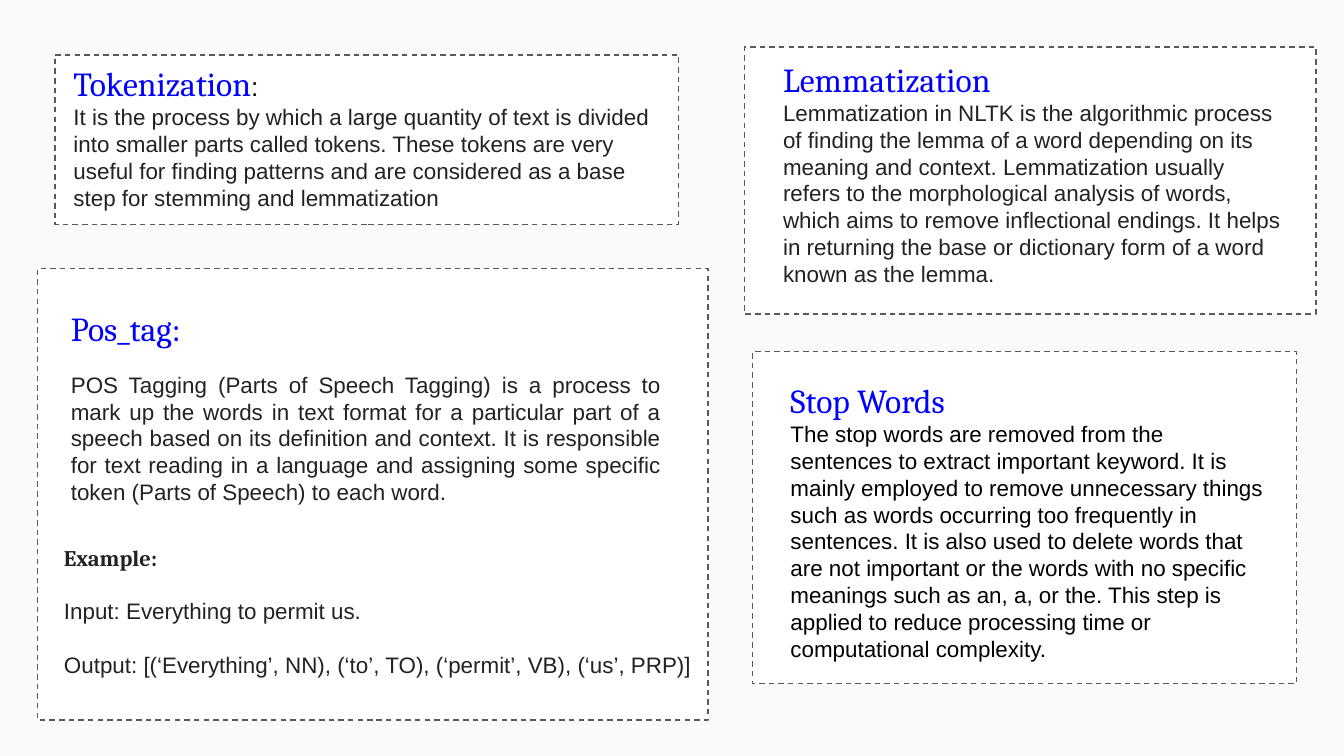
from pptx import Presentation
from pptx.dml.color import RGBColor
from pptx.enum.dml import MSO_LINE_DASH_STYLE as Dash
from pptx.enum.shapes import MSO_SHAPE as Shape
from pptx.enum.text import MSO_AUTO_SIZE as AutoSize, PP_ALIGN as Align
from pptx.util import Cm, Pt

PAPER = RGBColor(0xFA, 0xFA, 0xFA)
WHITE = RGBColor(0xFF, 0xFF, 0xFF)
GREY = RGBColor(0x59, 0x59, 0x59)
BLUE = RGBColor(0x00, 0x00, 0xFF)
INK = RGBColor(0x22, 0x22, 0x22)
BLACK = RGBColor(0x00, 0x00, 0x00)

HEADING = {"name": "Cambria", "size": Pt(18), "color": BLUE}
COLON = {"name": "Arial", "size": Pt(14), "color": BLACK}
BODY = {"name": "Arial", "size": Pt(12), "color": INK}
BLACK_BODY = {**BODY, "color": BLACK}
LABEL = {**BODY, "name": "Cambria", "bold": True}

PLAIN = {}
SPACED = {"alignment": Align.JUSTIFY, "line_spacing": 1.15, "space_before": Pt(12)}
JUSTIFIED = {"alignment": Align.JUSTIFY, "space_before": Pt(12), "space_after": Pt(12)}

TOKENIZATION = (
    "It is the process by which a large quantity of text is divided into smaller "
    "parts called tokens. These tokens are very useful for finding patterns and are "
    "considered as a base step for stemming and lemmatization"
)
POS_TAG = (
    "POS Tagging (Parts of Speech Tagging) is a process to mark up the words in text "
    "format for a particular part of a speech based on its definition and context. It "
    "is responsible for text reading in a language and assigning some specific token "
    "(Parts of Speech) to each word."
)
LEMMATIZATION = (
    "Lemmatization in NLTK is the algorithmic process of finding the lemma of a word "
    "depending on its meaning and context. Lemmatization usually refers to the "
    "morphological analysis of words, which aims to remove inflectional endings. It "
    "helps in returning the base or dictionary form of a word known as the lemma."
)
STOP_WORDS = (
    "The stop words are removed from the sentences to extract important keyword. It is "
    "mainly employed to remove unnecessary things such as words occurring too "
    "frequently in sentences. It is also used to delete words that are not important "
    "or the words with no specific meanings such as an, a, or the. This step is applied "
    "to reduce processing time or computational complexity."
)

PANELS = [
    (0.71, 5.08, 12.67, 8.53),
    (1.04, 1.04, 11.79, 3.2),
    (14.07, 0.89, 10.8, 5.05),
    (14.22, 6.65, 10.29, 6.27),
]
TEXTS = [
    ((1.14, 0.94, 11.66, 3.33), [
        (PLAIN, [("Tokenization", HEADING), (":", COLON)]),
        (PLAIN, [(TOKENIZATION, BODY)]),
    ]),
    ((1.09, 5.46, 11.66, 4.39), [
        (SPACED, [("Pos_tag:", HEADING)]),
        (JUSTIFIED, [(POS_TAG, BODY)]),
    ]),
    ((0.96, 9.96, 13.06, 4.17), [
        (SPACED, [("Example:", LABEL)]),
        (SPACED, [("Input: Everything to permit us.", BODY)]),
        (SPACED, [("Output: [(‘Everything’, NN), (‘to’, TO), (‘permit’, VB), (‘us’, PRP)]", BODY)]),
    ]),
    ((14.55, 0.86, 9.96, 4.88), [
        (PLAIN, [("Lemmatization", HEADING)]),
        (PLAIN, [(LEMMATIZATION, BODY)]),
    ]),
    ((14.69, 6.93, 9.53, 5.89), [
        (PLAIN, [("Stop Words", HEADING)]),
        (PLAIN, [(STOP_WORDS, BLACK_BODY)]),
    ]),
]


def set_attrs(obj, values):
    for key, value in values.items():
        setattr(obj, key, value)


def add_panel(s, box):
    sp = s.shapes.add_shape(Shape.RECTANGLE, *map(Cm, box))
    sp.shadow.inherit = False
    sp.fill.solid()
    sp.fill.fore_color.rgb = WHITE
    sp.line.color.rgb = GREY
    set_attrs(sp.line, {"width": Pt(0.75), "dash_style": Dash.DASH})


def add_run(p, text, style):
    r = p.add_run()
    r.text = text
    set_attrs(r.font, {k: v for k, v in style.items() if k != "color"})
    r.font.color.rgb = style["color"]


def add_text(s, box, paragraphs):
    tf = s.shapes.add_textbox(*map(Cm, box)).text_frame
    margins = {f"margin_{side}": Cm(0.25) for side in ("left", "top", "right", "bottom")}
    set_attrs(tf, {"word_wrap": True, "auto_size": AutoSize.SHAPE_TO_FIT_TEXT, **margins})
    for i, (layout, runs) in enumerate(paragraphs):
        p = tf.add_paragraph() if i else tf.paragraphs[0]
        set_attrs(p, layout)
        for text, style in runs:
            add_run(p, text, style)


def main():
    prs = Presentation()
    set_attrs(prs, {"slide_width": Cm(25.4), "slide_height": Cm(14.29)})
    s = prs.slides.add_slide(prs.slide_layouts[6])
    s.background.fill.solid()
    s.background.fill.fore_color.rgb = PAPER
    for box in PANELS:
        add_panel(s, box)
    for box, paragraphs in TEXTS:
        add_text(s, box, paragraphs)
    prs.save("out.pptx")


if __name__ == "__main__":
    main()
